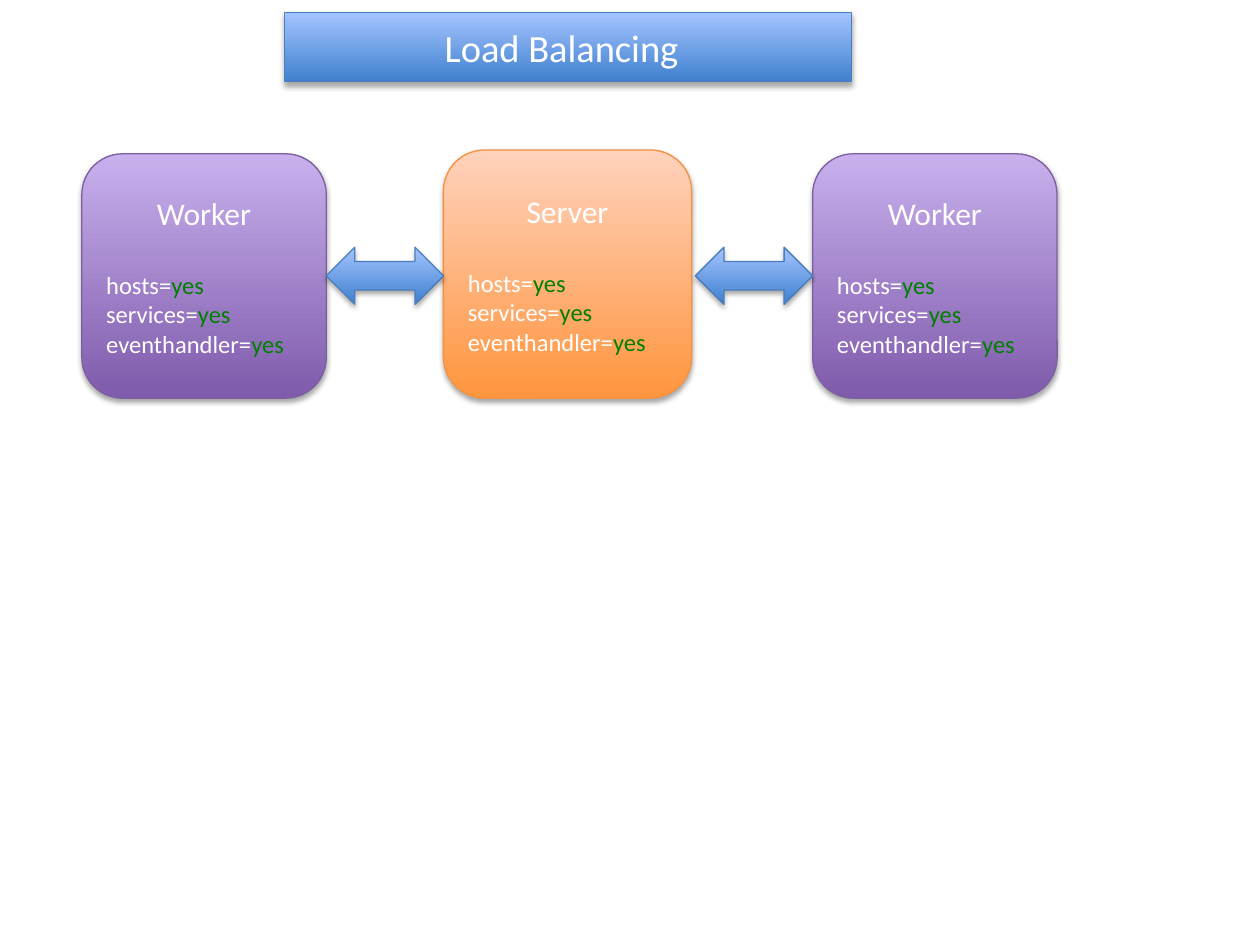
from dataclasses import dataclass

from lxml.etree import SubElement
from pptx import Presentation
from pptx.dml.color import RGBColor
from pptx.enum.shapes import MSO_SHAPE
from pptx.enum.text import MSO_ANCHOR, MSO_AUTO_SIZE, PP_ALIGN
from pptx.oxml.ns import qn
from pptx.util import Pt


@dataclass(frozen=True)
class Theme:
    """Colours and type sizes; each scheme is bottom, top, outline."""
    blue: tuple = ("3F80CE", "A4C4FF", "4B7EBC")
    orange: tuple = ("FF953E", "FFD2BD", "F69240")
    purple: tuple = ("7F5BAB", "C8B0ED", "7D60A0")
    white: str = "FFFFFF"
    green: str = "008000"
    font: str = "Calibri"
    title_size: int = 22
    heading_size: int = 18
    setting_size: int = 14


theme = Theme()


def style_shape(shape, scheme):
    """Give a shape a vertical gradient, a thin outline and a soft shadow."""
    bottom, top, outline = scheme
    shape.fill.gradient()
    shape.fill.gradient_angle = 90
    for stop, color in zip(shape.fill.gradient_stops, (bottom, top)):
        stop.color.rgb = RGBColor.from_string(color)
    shape.line.color.rgb = RGBColor.from_string(outline)
    shape.line.width = Pt(0.75)
    shape.shadow.inherit = False
    effects = shape.element.spPr.find(qn("a:effectLst"))
    shadow = SubElement(effects, qn("a:outerShdw"), blurRad=str(Pt(3.1)),
                        dist=str(Pt(1.8)), dir="5400000", rotWithShape="0")
    shade = SubElement(shadow, qn("a:srgbClr"), val="000000")
    SubElement(shade, qn("a:alpha"), val="35000")


def style_run(run, size, color):
    """Set the typeface, size and colour of a run."""
    run.font.name = theme.font
    run.font.size = Pt(size)
    run.font.color.rgb = RGBColor.from_string(color)


presentation = Presentation()
presentation.slide_width, presentation.slide_height = Pt(720), Pt(540)
slide = presentation.slides.add_slide(presentation.slide_layouts[5])

# Title banner
title = slide.shapes.title
title.left, title.top, title.width, title.height = Pt(162.5), Pt(7.2), Pt(324), Pt(39.6)
outline = SubElement(title.element.spPr, qn("a:prstGeom"), prst="roundRect")
SubElement(outline, qn("a:avLst"))
style_shape(title, theme.blue)
banner = title.text_frame
banner.text = "Load Balancing"
banner.auto_size = MSO_AUTO_SIZE.NONE
banner.vertical_anchor = MSO_ANCHOR.MIDDLE
banner.margin_left = banner.margin_top = banner.margin_bottom = 0
banner.margin_right = Pt(7.2)
banner.paragraphs[0].alignment = PP_ALIGN.CENTER
style_run(banner.paragraphs[0].runs[0], theme.title_size, theme.white)

# Nodes share a bottom edge
node_bottom = 227.6
worker_side, server_side = 139.7, 141.9
first_worker_left, server_left, last_worker_left = 46.8, 253.4, 464.4
nodes = [
    ("Server", server_left, server_side, theme.orange),
    ("Worker", first_worker_left, worker_side, theme.purple),
    ("Worker", last_worker_left, worker_side, theme.purple),
]
settings = ("hosts", "services", "eventhandler")

for heading, left, side, scheme in nodes:
    node = slide.shapes.add_shape(MSO_SHAPE.ROUNDED_RECTANGLE, Pt(left),
                                  Pt(node_bottom - side), Pt(side), Pt(side))
    style_shape(node, scheme)
    content = node.text_frame
    content.word_wrap = True
    content.vertical_anchor = MSO_ANCHOR.MIDDLE
    content.text = heading
    heading_line = content.paragraphs[0]
    heading_line.alignment = PP_ALIGN.CENTER
    heading_line.space_after = Pt(22)
    style_run(heading_line.runs[0], theme.heading_size, theme.white)
    for setting in settings:
        setting_line = content.add_paragraph()
        setting_line.alignment = PP_ALIGN.LEFT
        for text, color in ((f"{setting}=", theme.white), ("yes", theme.green)):
            run = setting_line.add_run()
            run.text = text
            style_run(run, theme.setting_size, color)

# Arrows touch the inner edges of the workers
arrow_width = 67
for left in (first_worker_left + worker_side, last_worker_left - arrow_width):
    arrow = slide.shapes.add_shape(MSO_SHAPE.LEFT_RIGHT_ARROW, Pt(left), Pt(141.3),
                                   Pt(arrow_width), Pt(32.6))
    style_shape(arrow, theme.blue)

presentation.save("out.pptx")
